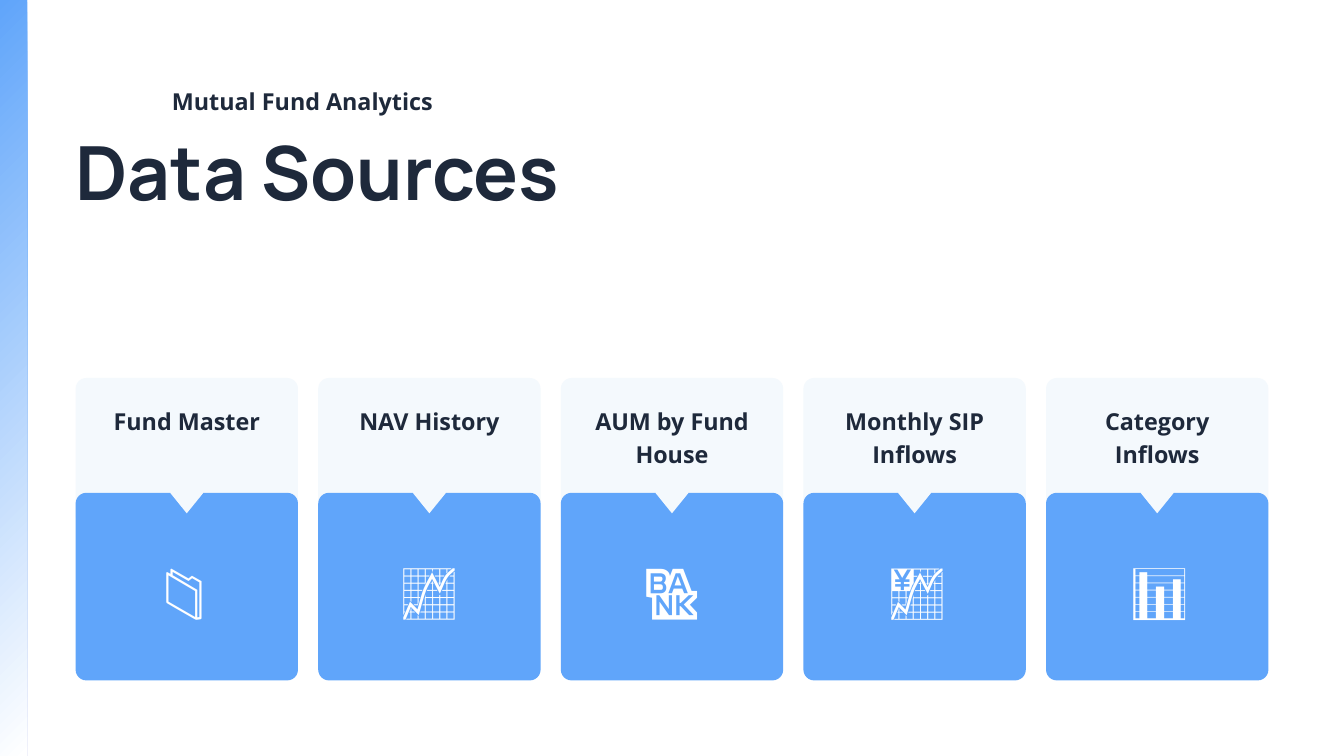
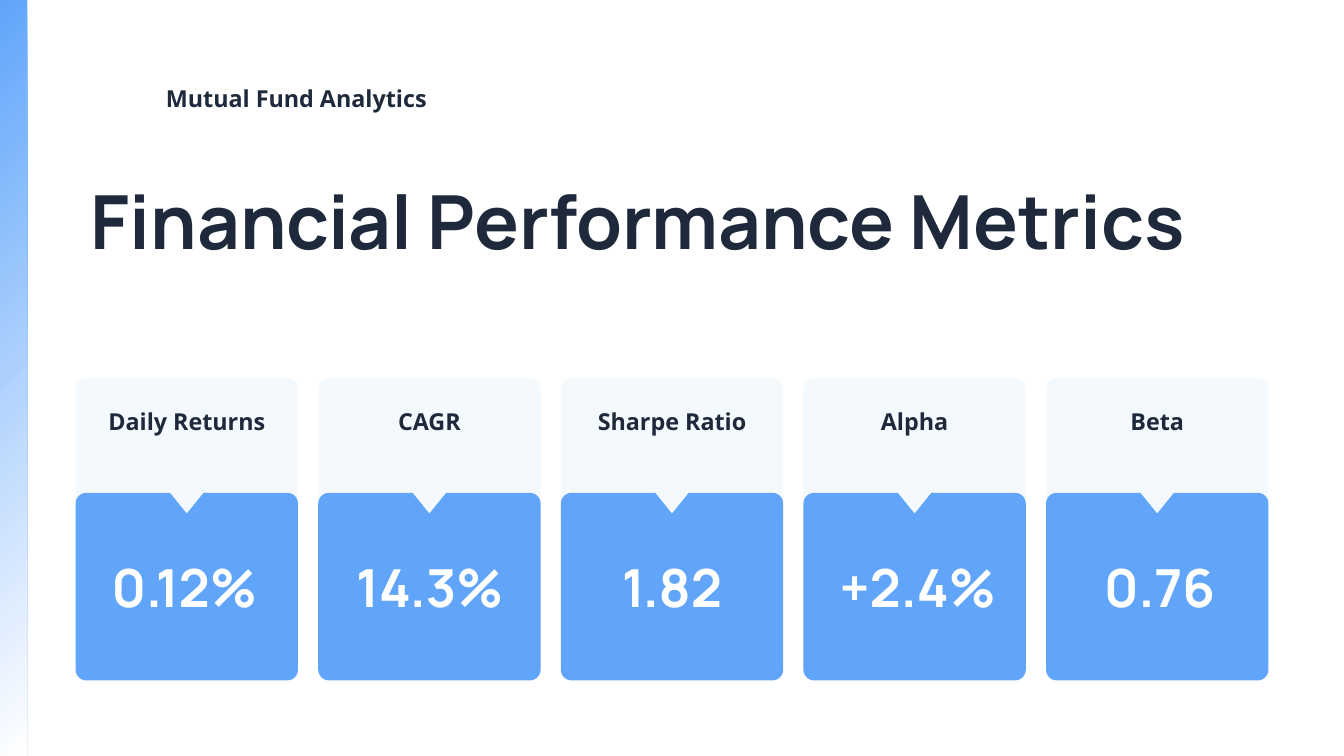
import pptx
import pptx.util
import pptx.dml.color
import pptx.enum.shapes
import pptx.enum.text

Pt = pptx.util.Pt
Shape = pptx.enum.shapes.MSO_SHAPE
Align = pptx.enum.text.PP_ALIGN

# Content: positions are (left, top, width, height)
KICKER = "Mutual Fund Analytics"
SLIDES = [
    {
        "title": "Data Sources", "title_at": (81, 152.6, 549, 88.6), "title_size": 80,
        "kicker_at": (184.3, 88, 313, 33), "value_top": 607.7, "value_size": 60,
        "cards": [("Fund Master", "📁"), ("NAV History", "📈"),
                  ("AUM by Fund House", "🏦"), ("Monthly SIP Inflows", "💹"),
                  ("Category Inflows", "📊")],
    },
    {
        "title": "Financial Performance Metrics",
        "title_at": (97.2, 204.5, 1281.6, 88.6), "title_size": 79.9,
        "kicker_at": (177.8, 85, 313, 33), "value_top": 607, "value_size": 56.2,
        "cards": [("Daily Returns", "0.12%"), ("CAGR", "14.3%"),
                  ("Sharpe Ratio", "1.82"), ("Alpha", "+2.4%"), ("Beta", "0.76")],
    },
]

# Shared style
WIDE, HIGH = 1440, 810
BLUE, PALE, INK, WHITE = "60A5FA", "F4F9FD", "1E293B", "FFFFFF"
HEAD, BODY = "Manrope", "Open Sans"
TIGHT = 0.98  # line height of headings, as a share of their size

# Card grid
EDGE, GAP, COUNT = 81, 21.7, 5
CARD = (WIDE - 2 * EDGE - GAP * (COUNT - 1)) / COUNT
TOP, SPLIT, END = 405, 528, 729
TAB_HIGH, ROUND = 158.4, 11.5
NOTCH = (35.6, 44)
LABEL, VALUE = 189.4, 169.2
NUDGE = (-2.5, 0.4, 0, 3.4, 2.5)  # shift of each value from its card's centre


def color(code):
    return pptx.dml.color.RGBColor.from_string(code)


def place(item, box):
    item.left, item.top, item.width, item.height = (Pt(n) for n in box)


def add_block(slide, kind, box, fill):
    block = slide.shapes.add_shape(kind, *(Pt(n) for n in box))
    block.shadow.inherit = False
    block.line.fill.background()
    if kind == Shape.ROUNDED_RECTANGLE:
        block.adjustments[0] = ROUND / min(box[2:])
    if fill:
        block.fill.solid()
        block.fill.fore_color.rgb = color(fill)
    return block


def set_text(item, text, face, size, line, ink, align):
    frame = item.text_frame
    frame.word_wrap = True
    frame.auto_size = pptx.enum.text.MSO_AUTO_SIZE.NONE
    frame.vertical_anchor = pptx.enum.text.MSO_ANCHOR.TOP
    frame.margin_left = frame.margin_right = frame.margin_top = frame.margin_bottom = 0
    frame.text = text
    para = frame.paragraphs[0]
    para.alignment = align
    para.line_spacing = Pt(round(line, 1))
    para.space_before = Pt(0)
    font = para.font
    font.name, font.size, font.bold = face, Pt(size), True
    font.color.rgb = color(ink)


def add_text(slide, box, *style):
    set_text(slide.shapes.add_textbox(*(Pt(n) for n in box)), *style)


def add_band(slide):
    band = add_block(slide, Shape.RECTANGLE, (0, 0, 29, HIGH), None)
    band.fill.gradient()
    band.fill.gradient_angle = 315
    for stop, code in zip(band.fill.gradient_stops, (BLUE, WHITE)):
        stop.color.rgb = color(code)


def add_card(slide, index, label, value, top, size):
    left = EDGE + index * (CARD + GAP)
    mid = left + CARD / 2
    add_block(slide, Shape.ROUNDED_RECTANGLE, (left, TOP, CARD, TAB_HIGH), PALE)
    add_block(slide, Shape.ROUNDED_RECTANGLE, (left, SPLIT, CARD, END - SPLIT), BLUE)
    wide, high = NOTCH
    add_block(slide, Shape.DIAMOND, (mid - wide / 2, SPLIT - high / 2, wide, high), PALE)
    add_text(slide, (mid - LABEL / 2, 431.3, LABEL, 67.7),
             label, BODY, 25, 35, INK, Align.CENTER)
    add_text(slide, (mid - VALUE / 2 + NUDGE[index], top, VALUE, 66),
             value, HEAD, size, size * TIGHT, WHITE, Align.CENTER)


def add_page(deck, page):
    slide = deck.slides.add_slide(deck.slide_layouts[5])  # Title Only
    add_band(slide)
    title, size = slide.shapes.title, page["title_size"]
    place(title, page["title_at"])
    set_text(title, page["title"], HEAD, size, size * TIGHT, INK, Align.LEFT)
    add_text(slide, page["kicker_at"], KICKER, BODY, 25, 35, INK, Align.LEFT)
    for index, (label, value) in enumerate(page["cards"]):
        add_card(slide, index, label, value, page["value_top"], page["value_size"])


def main():
    deck = pptx.Presentation()
    deck.slide_width, deck.slide_height = Pt(WIDE), Pt(HIGH)
    for page in SLIDES:
        add_page(deck, page)
    deck.save("out.pptx")


if __name__ == "__main__":
    main()
